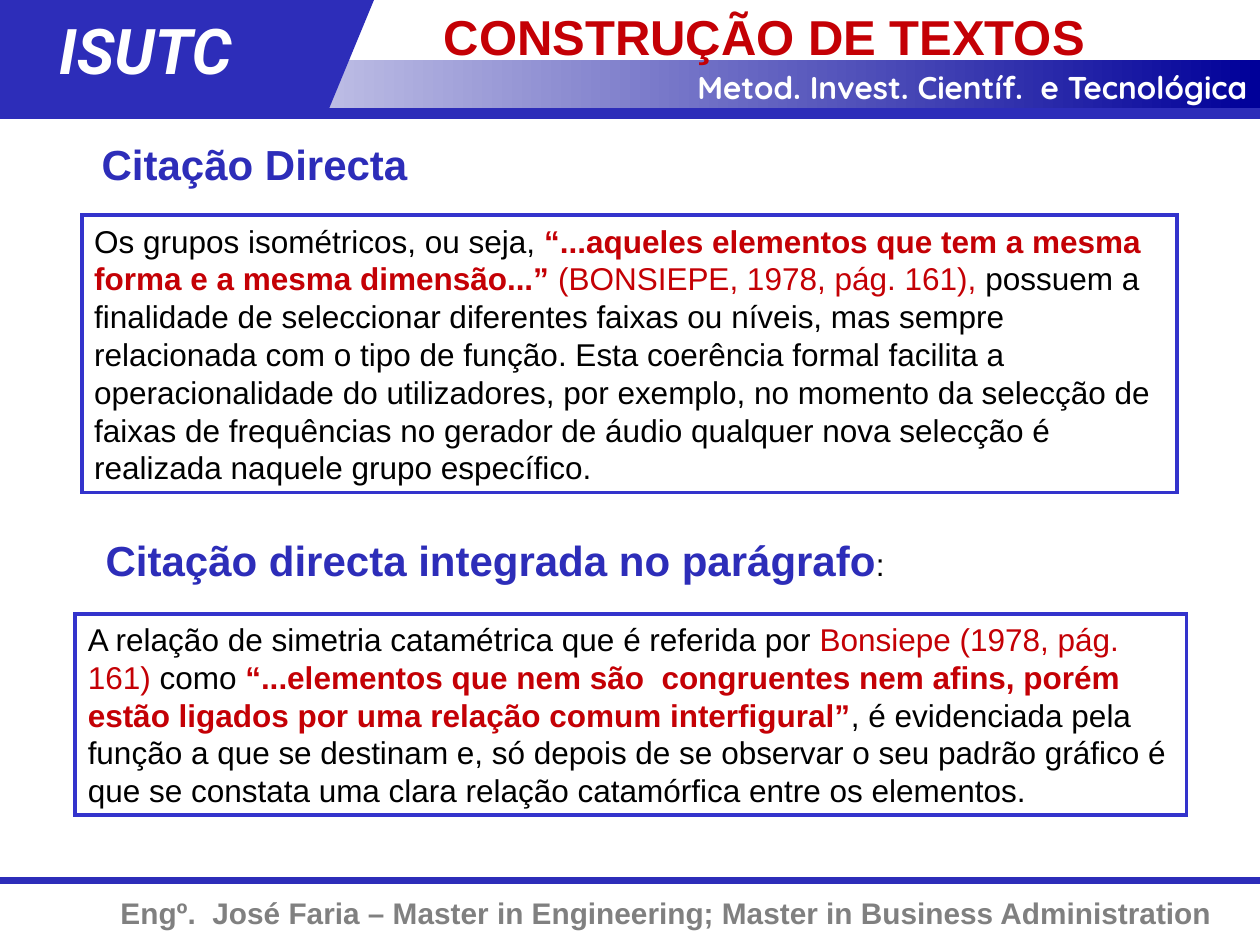
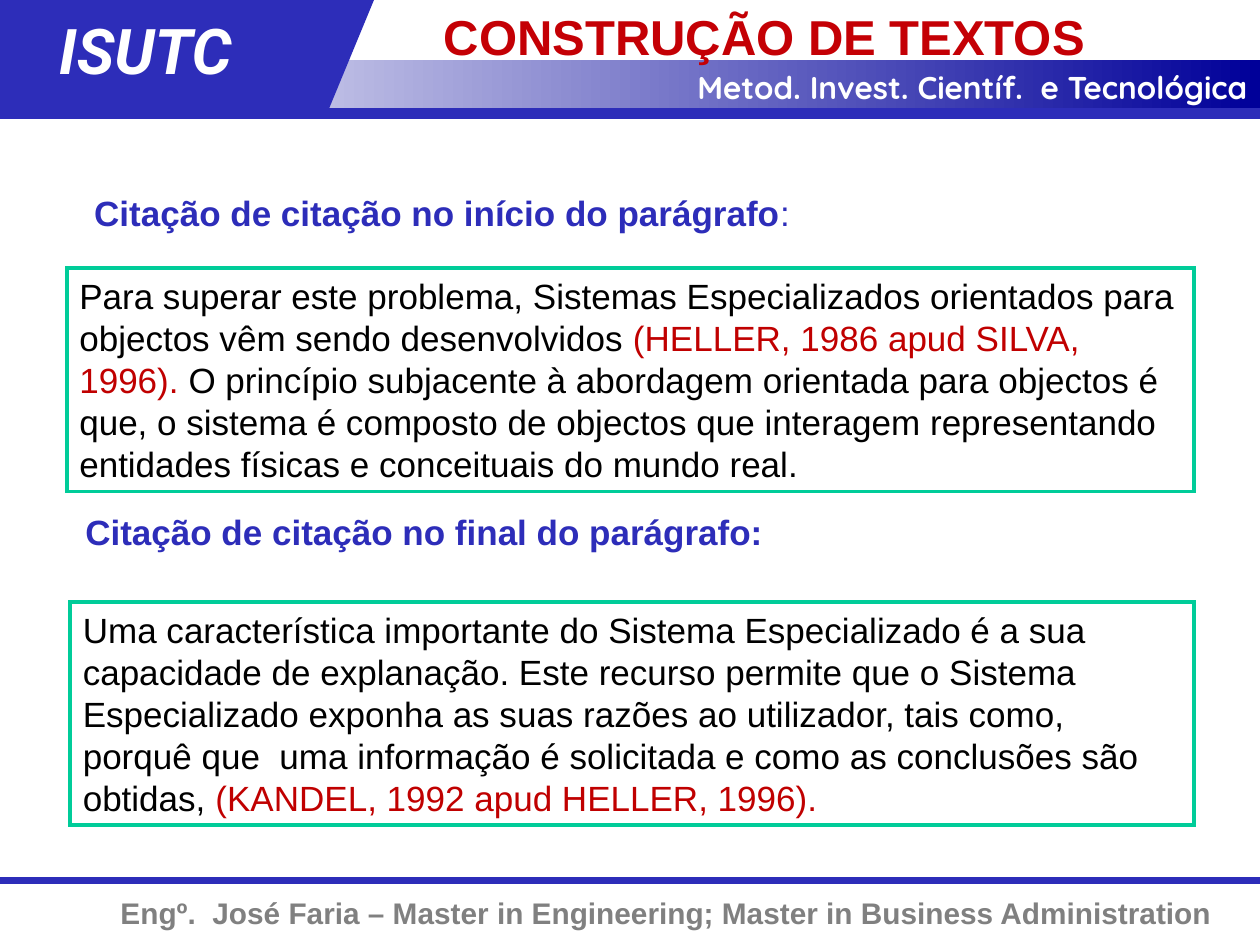
import pptx
import pptx.util
import pptx.dml.color
import pptx.enum.shapes
import pptx.enum.text
import pptx.oxml.ns
from lxml import etree

Cm, Pt = pptx.util.Cm, pptx.util.Pt
SHAPES = pptx.enum.shapes.MSO_SHAPE
ALIGN = pptx.enum.text.PP_ALIGN

# Shared look
BLUE, FRAME_BLUE, FRAME_GREEN, NAVY = "2D2DB9", "3333CC", "00CC99", "000099"
RED, DARK_RED, GREY, BLACK, WHITE = "C40005", "C00000", "808080", "000000", "FFFFFF"
SLIDE_WIDTH, SLIDE_HEIGHT = 25.4, 19.05

TITLE = "CONSTRUÇÃO DE TEXTOS"
SCHOOL = "ISUTC"
COURSE = "Metod. Invest. Científ.  e Tecnológica"
AUTHOR = "Engº.  José Faria – Master in Engineering; Master in Business Administration"


def rgb(hex_colour):
    return pptx.dml.color.RGBColor.from_string(hex_colour)


def lengths(box):
    return [Cm(value) for value in box]


def write(shape, runs, size=18, font="Arial", colour=BLACK, bold=False,
          italic=False, align=ALIGN.LEFT):
    """Fill a shape with one paragraph; runs is a string or (text, overrides) pairs."""
    frame = shape.text_frame
    frame.auto_size = pptx.enum.text.MSO_AUTO_SIZE.NONE
    frame.word_wrap = True
    frame.vertical_anchor = pptx.enum.text.MSO_ANCHOR.TOP
    frame.margin_left = frame.margin_right = Cm(0.25)
    frame.margin_top = frame.margin_bottom = Cm(0.13)
    paragraph = frame.paragraphs[0]
    paragraph.alignment = align
    paragraph.space_before = Pt(0)
    for text, overrides in ([(runs, {})] if isinstance(runs, str) else runs):
        look = {"size": size, "colour": colour, "bold": bold, **overrides}
        run = paragraph.add_run()
        run.text = text
        run.font.name = font
        run.font.size = Pt(look["size"])
        run.font.color.rgb = rgb(look["colour"])
        run.font.bold = look["bold"]
        run.font.italic = italic


def add_text(slide, box, runs, **look):
    write(slide.shapes.add_textbox(*lengths(box)), runs, **look)


def add_block(slide, box, fill, kind=SHAPES.RECTANGLE, outline=None):
    block = slide.shapes.add_shape(kind, *lengths(box))
    block.shadow.inherit = False
    block.fill.solid()
    block.fill.fore_color.rgb = rgb(fill)
    if outline:
        block.line.color.rgb = rgb(outline)
        block.line.width = Pt(2.25)
        # Square corners
        stroke = block.element.find(".//" + pptx.oxml.ns.qn("a:ln"))
        etree.SubElement(stroke, pptx.oxml.ns.qn("a:miter"), lim="800000")
    else:
        block.line.fill.background()
    return block


def add_rule(slide, y, weight):
    rule = slide.shapes.add_connector(
        pptx.enum.shapes.MSO_CONNECTOR.STRAIGHT, 0, Cm(y), Cm(SLIDE_WIDTH), Cm(y))
    rule.line.color.rgb = rgb(BLUE)
    rule.line.width = Pt(weight)
    properties = rule.element.find(pptx.oxml.ns.qn("p:spPr"))
    etree.SubElement(properties, pptx.oxml.ns.qn("a:effectLst"))


def add_header(slide, box):
    left, top, width, height = box
    # Fading course band
    band_top = top + 1.22
    band = add_block(slide, (left, band_top, width, top + height - band_top), WHITE)
    band.fill.gradient()
    band.fill.gradient_angle = 0
    for stop, colour in zip(band.fill.gradient_stops, (WHITE, NAVY)):
        stop.color.rgb = rgb(colour)
    # School block with a slanted end
    add_block(slide, (left + 2.97, top, 4.57, height), BLUE, SHAPES.FLOWCHART_DATA)
    add_block(slide, (left, top, 4.04, height), BLUE)
    add_text(slide, (left + 11.07, top + 1.24, width - 11.07, 1.02), COURSE,
             font="Quicksand", colour=WHITE, bold=True, align=ALIGN.RIGHT)
    add_text(slide, (left + 0.94, top + 0.1, 4.9, 1.78), SCHOOL, size=36,
             font="Roboto", colour=WHITE, bold=True, italic=True)
    add_rule(slide, top + height + 0.08, 6)


def add_footer(slide, box):
    left, top, width, height = box
    add_rule(slide, top, 4)
    add_text(slide, (left, top + 0.15, width, height), AUTHOR, size=17,
             colour=GREY, bold=True, align=ALIGN.RIGHT)


def add_title(slide, box):
    title = slide.shapes.title
    title.left, title.top, title.width, title.height = lengths(box)
    write(title, TITLE, size=28, colour=RED, bold=True)
    # The title lies over the band
    title.element.getparent().append(title.element)


def add_citation(slide, box, heading, heading_offset, quote, heading_size, size, outline):
    """Framed quotation with its heading placed relative to the frame."""
    left, top, width, _ = box
    dx, dy = heading_offset
    add_text(slide, (left + dx, top + dy, width - dx, heading_size * 0.05 + 0.1),
             heading, size=heading_size, colour=BLUE, bold=True)
    write(add_block(slide, box, WHITE, outline=outline), quote, size=size)


def add_citation_slide(deck, citations, **look):
    slide = deck.slides.add_slide(deck.slide_layouts[5])
    add_footer(slide, (0, 17.75, 24.69, 1))
    add_header(slide, (0, 0, SLIDE_WIDTH, 2.21))
    for box, heading, heading_offset, quote in citations:
        add_citation(slide, box, heading, heading_offset, quote, **look)
    add_title(slide, (8.7, 0, 16.7, 1.22))


CITED = {"colour": RED}
QUOTED = {"colour": RED, "bold": True}
APUD = {"colour": DARK_RED}

# Each citation: frame box, heading, heading offset from the frame, quotation
DIRECT = [
    ((1.65, 4.34, 22.07, 5.59), "Citação Directa", (0.15, -1.67), [
        ("Os grupos isométricos, ou seja, ", {}),
        ("“...aqueles elementos que tem a mesma forma e a mesma dimensão...”", QUOTED),
        (" (BONSIEPE, 1978, pág. 161), ", CITED),
        ("possuem a finalidade de seleccionar diferentes faixas ou níveis, mas sempre "
         "relacionada com o tipo de função. Esta coerência formal facilita a "
         "operacionalidade do utilizadores, por exemplo, no momento da selecção de "
         "faixas de frequências no gerador de áudio qualquer nova selecção é "
         "realizada naquele grupo específico.", {}),
    ]),
    ((1.52, 12.37, 22.4, 4.06),
     [("Citação directa integrada no parágrafo", {}),
      (":", {"size": 18, "colour": BLACK, "bold": False})], (0.36, -1.73), [
        ("A relação de simetria catamétrica que é referida por ", {}),
        ("Bonsiepe (1978, pág. 161) ", CITED),
        ("como ", {}),
        ("“...elementos que nem são  congruentes nem afins, porém estão ligados por "
         "uma relação comum interfigural”", QUOTED),
        (", é evidenciada pela função a que se destinam e, só depois de se observar o "
         "seu padrão gráfico é que se constata uma clara relação catamórfica entre os "
         "elementos.", {}),
    ]),
]

CITED_IN_OTHERS = [
    ((1.35, 5.41, 22.73, 4.5),
     [("Citação de citação no início do parágrafo", {}), (":", {"bold": False})],
     (0.3, -1.68), [
        ("Para superar este problema, Sistemas Especializados orientados para objectos "
         "vêm sendo desenvolvidos ", {}),
        ("(HELLER, 1986 apud SILVA, 1996). ", APUD),
        ("O princípio subjacente à abordagem orientada para objectos é que, o sistema "
         "é composto de objectos que interagem representando entidades físicas e "
         "conceituais do mundo real.", {}),
    ]),
    ((1.42, 12.14, 22.65, 4.5), "Citação de citação no final do parágrafo:",
     (0.05, -1.98), [
        ("Uma característica importante do Sistema Especializado é a sua capacidade de "
         "explanação. Este recurso permite que o Sistema Especializado exponha as suas "
         "razões ao utilizador, tais como, porquê que  uma informação é solicitada e "
         "como as conclusões são obtidas, ", {}),
        ("(KANDEL, 1992 apud HELLER, 1996).", APUD),
    ]),
]


def main():
    deck = pptx.Presentation()
    deck.slide_width, deck.slide_height = Cm(SLIDE_WIDTH), Cm(SLIDE_HEIGHT)
    add_citation_slide(deck, DIRECT, heading_size=24, size=18, outline=FRAME_BLUE)
    add_citation_slide(deck, CITED_IN_OTHERS, heading_size=20, size=20,
                       outline=FRAME_GREEN)
    deck.save("out.pptx")


if __name__ == "__main__":
    main()
